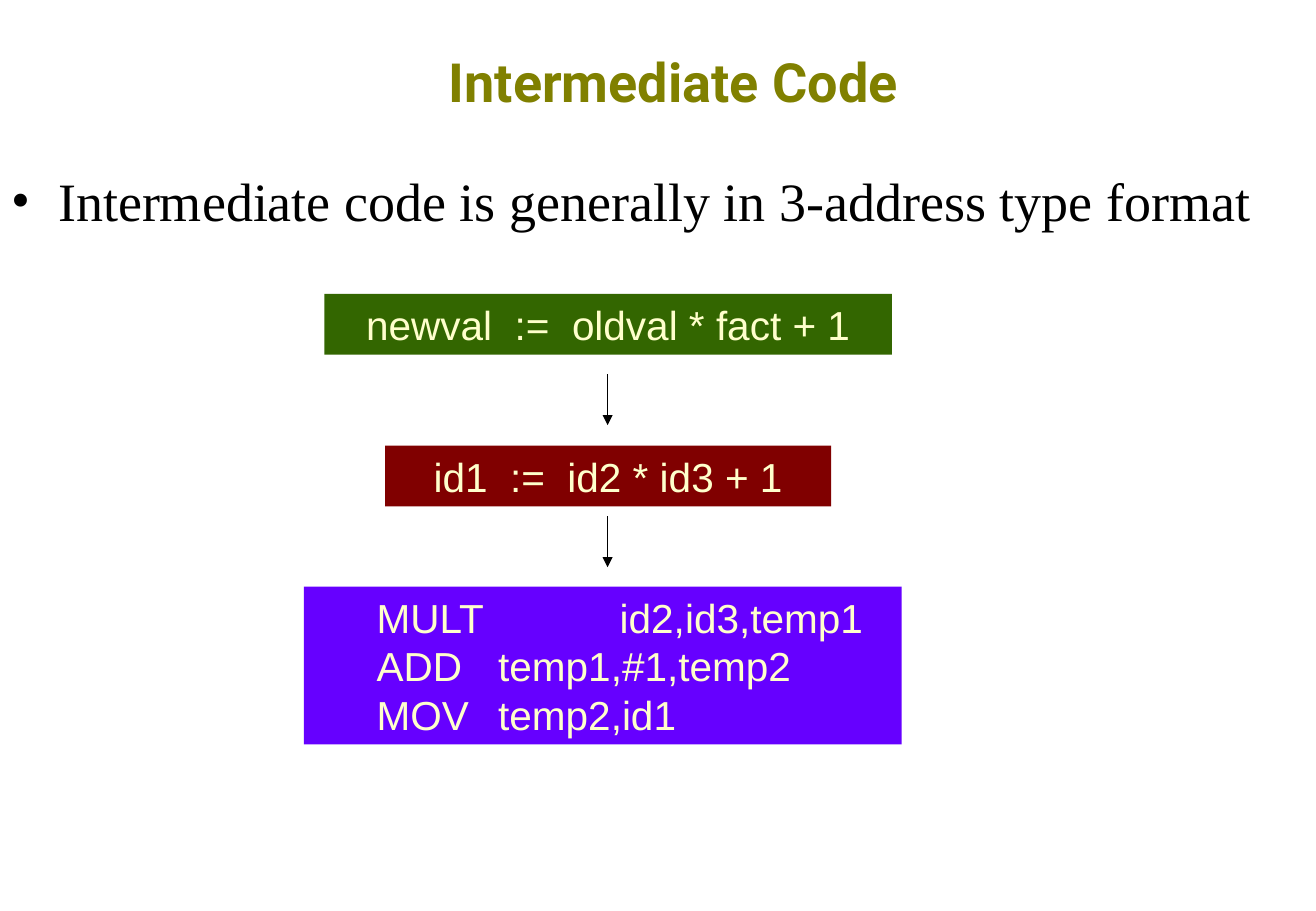
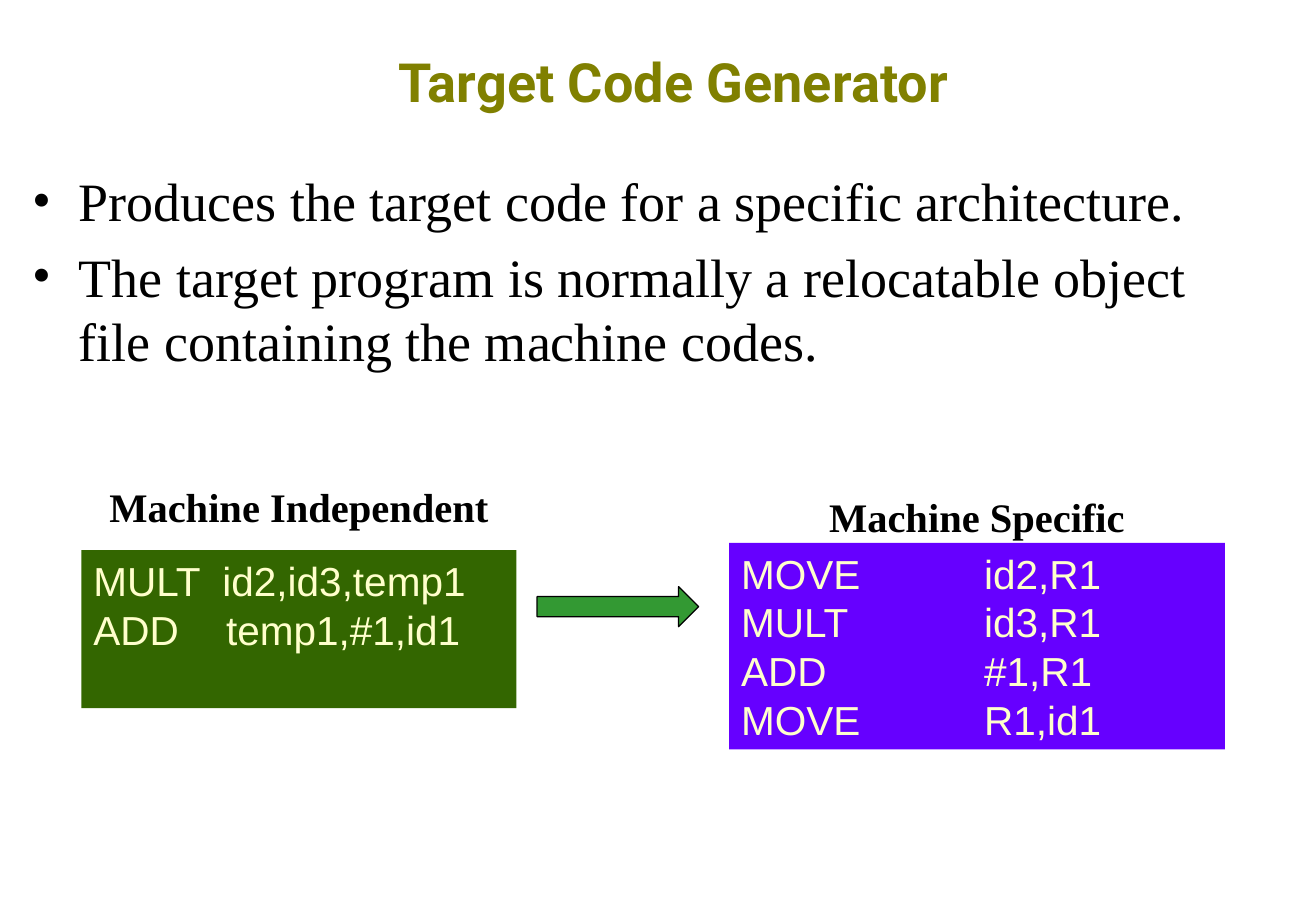
"""Build two slides on intermediate code and target code generation."""
from lxml.etree import SubElement
from pptx import Presentation
from pptx.dml.color import RGBColor
from pptx.enum.shapes import MSO_CONNECTOR, MSO_SHAPE
from pptx.enum.text import MSO_ANCHOR, PP_ALIGN
from pptx.oxml.ns import qn
from pptx.util import Inches, Pt

COLORS = {
    "title": "808000",
    "text": "000000",
    "code": "FFFFCC",
    "green": "336600",
    "maroon": "800000",
    "violet": "6600FF",
    "arrow": "339933",
}
TAB_STOPS = (1, 2)
LINE_HEIGHT = 1.2


def write(shape, lines, font, size, color, bold=False, align=PP_ALIGN.LEFT, bullets=False):
    """Fill a shape with paragraphs of one style."""
    frame = shape.text_frame
    frame.word_wrap = True
    frame.vertical_anchor = MSO_ANCHOR.TOP
    frame.text = "\n".join(lines)
    for index, paragraph in enumerate(frame.paragraphs):
        paragraph.alignment = align
        paragraph.line_spacing = Pt(size * LINE_HEIGHT)
        properties = paragraph._p.get_or_add_pPr()
        if bullets:
            if index:
                paragraph.space_before = Pt(size * 0.2)
            properties.set("marL", str(Inches(0.38)))
            properties.set("indent", str(-Inches(0.38)))
            SubElement(properties, qn("a:buFont"), typeface="Times New Roman")
            SubElement(properties, qn("a:buChar"), char="•")
        if "\t" in paragraph.text:
            tabs = SubElement(properties, qn("a:tabLst"))
            for stop in TAB_STOPS:
                SubElement(tabs, qn("a:tab"), pos=str(Inches(stop)), algn="l")
        paragraph.font.name = font
        paragraph.font.size = Pt(size)
        paragraph.font.bold = bold
        paragraph.font.color.rgb = RGBColor.from_string(COLORS[color])


def add_code_box(slide, box, fill, lines, align=PP_ALIGN.LEFT):
    """Add a filled rectangle that holds lines of code."""
    shape = slide.shapes.add_shape(MSO_SHAPE.RECTANGLE, *map(Inches, box))
    shape.shadow.inherit = False
    shape.fill.solid()
    shape.fill.fore_color.rgb = RGBColor.from_string(COLORS[fill])
    shape.line.fill.background()
    write(shape, lines, "Arial", 24, "code", align=align)
    return shape


presentation = Presentation()
presentation.slide_width = Inches(10.83)
presentation.slide_height = Inches(7.5)

contents = [
    ("Intermediate Code", (0, 1.33, 10.67, 0.75),
     ["Intermediate code is generally in 3-address type format"]),
    ("Target Code Generator", (0.17, 1.33, 10.33, 1.58),
     ["Produces the target code for a specific architecture.",
      "The target program is normally a relocatable object file containing the machine codes."]),
]
for heading, body_box, points in contents:
    slide = presentation.slides.add_slide(presentation.slide_layouts[5])
    title = slide.shapes.title
    title.left, title.top, title.width, title.height = map(Inches, (0.42, 0.17, 10.25, 1))
    write(title, [heading], "Roboto", 32, "title", bold=True, align=PP_ALIGN.CENTER)
    title.text_frame.vertical_anchor = MSO_ANCHOR.MIDDLE
    body = slide.shapes.add_textbox(*map(Inches, body_box))
    write(body, points, "Times New Roman", 32, "text", bullets=True)

intermediate_slide, target_slide = presentation.slides

add_code_box(intermediate_slide, (2.67, 2.42, 4.67, 0.5), "green",
             ["newval  :=  oldval * fact + 1"], PP_ALIGN.CENTER)
add_code_box(intermediate_slide, (3.17, 3.67, 3.67, 0.5), "maroon",
             ["id1  :=  id2 * id3 + 1"], PP_ALIGN.CENTER)
instructions = add_code_box(intermediate_slide, (2.5, 4.83, 4.92, 1.3), "violet",
                            ["MULT  \tid2,id3,temp1", "ADD\ttemp1,#1,temp2", "MOV\ttemp2,id1"])
instructions.text_frame.margin_left = Inches(0.6)

for top in (3.08, 4.25):
    arrow = intermediate_slide.shapes.add_connector(
        MSO_CONNECTOR.STRAIGHT, Inches(5), Inches(top), Inches(5), Inches(top + 0.42))
    arrow.line.color.rgb = RGBColor.from_string(COLORS["text"])
    arrow.line.width = Pt(0.75)
    SubElement(arrow.line._get_or_add_ln(), qn("a:tailEnd"), type="triangle")
    SubElement(arrow._element.spPr, qn("a:effectLst"))

add_code_box(target_slide, (0.67, 4.53, 3.58, 1.3), "green",
             ["MULT  id2,id3,temp1", "ADD\t temp1,#1,id1"])
add_code_box(target_slide, (6, 4.47, 4.08, 1.7), "violet",
             ["MOVE\t\tid2,R1", "MULT\t\tid3,R1", "ADD\t\t#1,R1", "MOVE\t\tR1,id1"])

block_arrow = target_slide.shapes.add_shape(
    MSO_SHAPE.RIGHT_ARROW, *map(Inches, (4.42, 4.83, 1.33, 0.33)))
block_arrow.shadow.inherit = False
block_arrow.fill.solid()
block_arrow.fill.fore_color.rgb = RGBColor.from_string(COLORS["arrow"])
block_arrow.line.color.rgb = RGBColor.from_string(COLORS["text"])
block_arrow.line.width = Pt(0.75)

for caption, left, top in (("Machine Independent", 0.67, 3.92), ("Machine Specific", 6.25, 4)):
    label = target_slide.shapes.add_textbox(*map(Inches, (left, top, 3.58, 0.5)))
    write(label, [caption], "Times New Roman", 24, "text", bold=True, align=PP_ALIGN.CENTER)

presentation.save("out.pptx")
